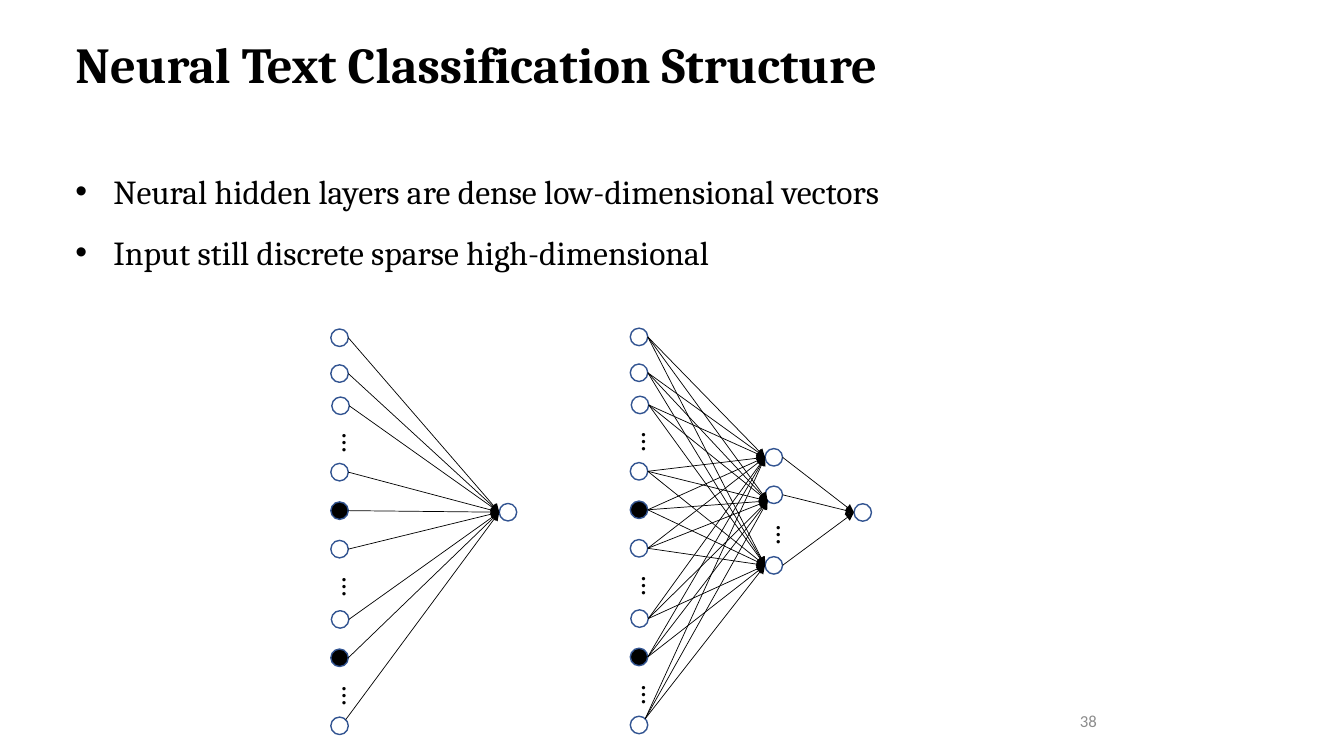
from dataclasses import dataclass
from math import sqrt

from lxml import etree
from pptx import Presentation, util as u
from pptx.dml.color import RGBColor
from pptx.enum import shapes, text
from pptx.oxml import ns

Pt = u.Pt


@dataclass(frozen=True)
class Theme:
    ink: RGBColor = RGBColor(0, 0, 0)
    muted: RGBColor = RGBColor(0x8C, 0x8C, 0x8C)
    outline: RGBColor = RGBColor(0x32, 0x54, 0x91)
    serif: str = "Cambria"
    sans: str = "Calibri"
    title: float = 36
    body: float = 24
    dots: float = 20
    page: float = 12


T = Theme()
NODE = 12.5
DIAGONAL = (1 - sqrt(0.5)) / 2

# Sites on a node, as fractions of its size
LEFT, RIGHT = (0, 0.5), (1, 0.5)
LOWER_LEFT, UPPER_RIGHT = (DIAGONAL, 1 - DIAGONAL), (1 - DIAGONAL, DIAGONAL)

# Input column: (dx, dy, active) for each node, dy for each ellipsis
INPUTS = [(0, 0, False), (0, 25.6, False), (0.7, 48.6, False),
          (0, 96, False), (0, 123.5, True), (0, 151, False),
          (0.4, 201.2, False), (0, 228.6, True), (0, 277.2, False)]
INPUT_DOTS = [67.2, 170.2, 248.4]
HIDDEN = [86, 112.8, 163.2]
HIDDEN_DOTS = 133.6


def add_text(slide, box, lines, wrap=True, **fmt):
    """Text box with one paragraph per line, all in one format."""
    tf = slide.shapes.add_textbox(*map(Pt, box)).text_frame
    tf.word_wrap = wrap
    for i, line in enumerate(lines):
        p = tf.paragraphs[0] if i == 0 else tf.add_paragraph()
        r = p.add_run()
        r.text = line
        color = fmt.get("color", T.ink)
        r.font.color.rgb = color
        for name, value in fmt.items():
            if name != "color":
                setattr(r.font, name, value)
    return tf


def add_title(slide, box):
    add_text(slide, box, ["Neural Text Classification Structure"],
             name=T.serif, size=Pt(T.title), bold=True)


def add_bullets(slide, box):
    tf = add_text(slide, box,
                  ["Neural hidden layers are dense low-dimensional vectors",
                   "Input still discrete sparse high-dimensional"],
                  name=T.serif, size=Pt(T.body))
    for p in tf.paragraphs:
        p.line_spacing = 1.5
        pPr = p._p.get_or_add_pPr()
        pPr.set("marL", str(Pt(27)))
        pPr.set("indent", str(-Pt(27)))
        etree.SubElement(pPr, ns.qn("a:buFont")).set("typeface", "Arial")
        etree.SubElement(pPr, ns.qn("a:buChar")).set("char", "•")


def add_page_number(slide, box):
    tf = add_text(slide, box, ["38"], name=T.sans, size=Pt(T.page), color=T.muted)
    tf.vertical_anchor = text.MSO_ANCHOR.MIDDLE
    tf.paragraphs[0].alignment = text.PP_ALIGN.RIGHT


def add_node(slide, x, y, active=False):
    """Draw a neuron and return its top left corner."""
    sp = slide.shapes.add_shape(shapes.MSO_SHAPE.FLOWCHART_CONNECTOR,
                                *map(Pt, (x, y, NODE, NODE)))
    sp.shadow.inherit = False
    if active:
        sp.fill.solid()
        sp.fill.fore_color.rgb = T.ink
    else:
        sp.fill.background()
    sp.line.color.rgb = T.outline
    sp.line.width = Pt(1)
    return x, y


def add_dots(slide, x, y):
    """Vertical ellipsis beside the column whose nodes start at x."""
    tf = add_text(slide, (x - 6.8, y, 38.9, 20.9), ["…"], wrap=False,
                  name=T.sans, size=Pt(T.dots))
    tf._txBody.bodyPr.set("vert", "eaVert")


def add_arrow(slide, source, target, start=RIGHT, end=LEFT):
    points = [corner + NODE * part
              for node, site in ((source, start), (target, end))
              for corner, part in zip(node, site)]
    c = slide.shapes.add_connector(shapes.MSO_CONNECTOR.STRAIGHT, *map(Pt, points))
    c.line.color.rgb = T.ink
    c.line.width = Pt(0.5)
    etree.SubElement(c.line._get_or_add_ln(), ns.qn("a:tailEnd")).set("type", "triangle")
    etree.SubElement(c._element.spPr, ns.qn("a:effectLst"))


def add_inputs(slide, x, y):
    """Draw the sparse input column and return (node, start site) pairs."""
    nodes = [add_node(slide, x + dx, y + dy, active) for dx, dy, active in INPUTS]
    for dy in INPUT_DOTS:
        add_dots(slide, x, y + dy)
    return [(n, UPPER_RIGHT if n is nodes[-1] else RIGHT) for n in nodes]


def add_linear_model(slide, x, y):
    inputs = add_inputs(slide, x, y)
    output = add_node(slide, x + 120.3, y + 124.6)
    for node, start in inputs:
        add_arrow(slide, node, output, start)


def add_hidden_model(slide, x, y):
    inputs = add_inputs(slide, x, y)
    hidden = [add_node(slide, x + 96.3, y + dy) for dy in HIDDEN]
    add_dots(slide, x + 96.3, y + HIDDEN_DOTS)
    output = add_node(slide, x + 159.8, y + 125.4)
    for target, end in zip(hidden, (LEFT, LOWER_LEFT, LEFT)):
        for node, start in inputs:
            add_arrow(slide, node, target, start, end)
        add_arrow(slide, target, output)


def main():
    prs = Presentation()
    prs.slide_width, prs.slide_height = Pt(960), Pt(540)
    slide = prs.slides.add_slide(prs.slide_layouts[6])
    add_page_number(slide, (628.6, 500.4, 162, 28.8))
    add_title(slide, (46.8, 20.2, 635, 51))
    add_bullets(slide, (46.8, 104.4, 660, 134.6))
    add_linear_model(slide, 236.3, 235)
    add_hidden_model(slide, 450.2, 234.4)
    prs.save("out.pptx")


if __name__ == "__main__":
    main()
